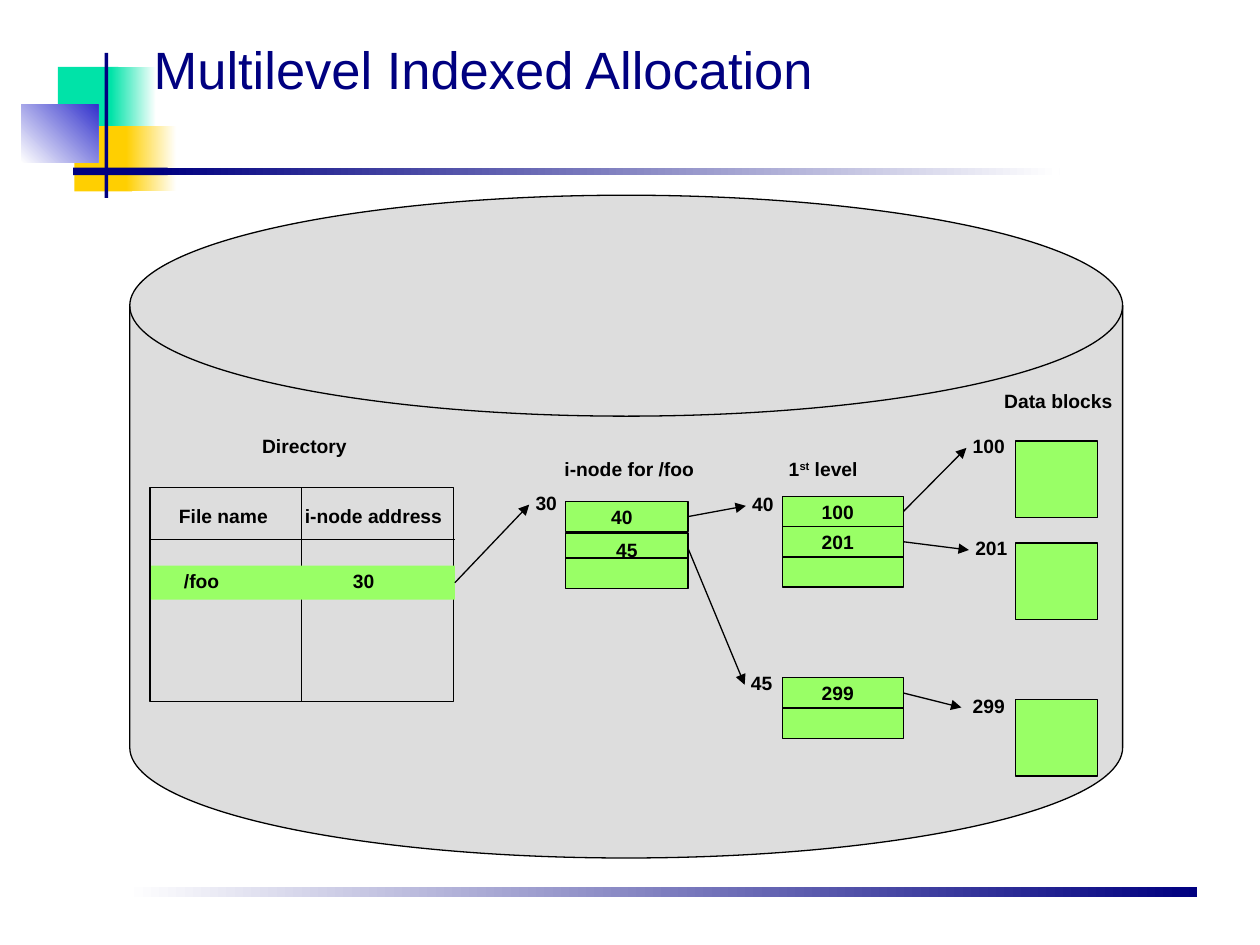
from lxml import etree
from pptx import Presentation
from pptx.dml.color import RGBColor
from pptx.enum import shapes, text
from pptx.oxml.ns import qn
from pptx.util import Inches, Pt

NAVY = RGBColor(0x00, 0x00, 0x80)
BLUE = RGBColor(0x33, 0x33, 0xCC)
TEAL = RGBColor(0x00, 0xE3, 0xA8)
GOLD = RGBColor(0xFF, 0xCF, 0x01)
WHITE = RGBColor(0xFF, 0xFF, 0xFF)
BLACK = RGBColor(0x00, 0x00, 0x00)
GRAY = RGBColor(0xDD, 0xDD, 0xDD)
GREEN = RGBColor(0x99, 0xFF, 0x66)
RECT = shapes.MSO_SHAPE.RECTANGLE

prs = Presentation()
prs.slide_width, prs.slide_height = Inches(10), Inches(7.5)
s = prs.slides.add_slide(prs.slide_layouts[6])


def add_box(x, y, w, h, fill=None, line=None, words="", kind=RECT,
            left=0.05, right=0.05, center=False, tab=None):
    at = [Inches(v) for v in (x, y, w, h)]
    if fill is None and line is None:
        sp = s.shapes.add_textbox(*at)
    else:
        sp = s.shapes.add_shape(kind, *at)
        sp.shadow.inherit = False
        if fill is None:
            sp.fill.background()
        else:
            sp.fill.solid()
            sp.fill.fore_color.rgb = fill
        if line is None:
            sp.line.fill.background()
        else:
            sp.line.color.rgb = line
            sp.line.width = Pt(0.75)
    if words:
        tf = sp.text_frame
        tf.word_wrap = True
        tf.margin_left, tf.margin_right = Inches(left), Inches(right)
        tf.margin_top = tf.margin_bottom = Inches(0.03)
        tf.vertical_anchor = text.MSO_ANCHOR.MIDDLE if center else text.MSO_ANCHOR.TOP
        p = tf.paragraphs[0]
        p.text = words
        p.alignment = text.PP_ALIGN.CENTER if center else text.PP_ALIGN.LEFT
        if tab:
            tabs = etree.SubElement(p._p.get_or_add_pPr(), qn("a:tabLst"))
            etree.SubElement(tabs, qn("a:tab"), pos=str(Inches(tab)), algn="l")
        p.font.name, p.font.size, p.font.bold = "Arial", Pt(11), True
        p.font.color.rgb = BLACK
    return sp


def add_line(x1=0, y1=0, x2=0, y2=0, start=None, end=None, arrow=False):
    ln = s.shapes.add_connector(shapes.MSO_CONNECTOR.STRAIGHT,
                                *[Inches(v) for v in (x1, y1, x2, y2)])
    if start:
        ln.begin_connect(*start)
    if end:
        ln.end_connect(*end)
    ln.line.color.rgb = BLACK
    ln.line.width = Pt(0.75)
    if arrow:
        etree.SubElement(ln.line._get_or_add_ln(), qn("a:tailEnd"), type="triangle")
    etree.SubElement(ln._element.spPr, qn("a:effectLst"))


for x, y, w, h, c1, c2, angle in [
    (1, 7.04, 8.5, 0.08, WHITE, NAVY, 0),
    (0.46, 0.53, 0.48, 0.52, TEAL, None, 0),
    (0.88, 0.53, 0.36, 0.52, TEAL, WHITE, 0),
    (0.59, 1, 0.46, 0.52, GOLD, None, 0),
    (1, 1, 0.4, 0.52, GOLD, WHITE, 0),
    (0.17, 0.83, 0.61, 0.46, WHITE, BLUE, 45),
    (0.83, 0.42, 0.03, 1.15, NAVY, None, 0),
    (0.58, 1.33, 0.75, 0.06, NAVY, None, 0),
    (1.25, 1.33, 7.16, 0.06, NAVY, WHITE, 0),
]:
    sp = add_box(x, y, w, h, c1)
    if c2 is not None:
        sp.fill.gradient()
        sp.fill.gradient_angle = angle
        for stop, color in zip(sp.fill.gradient_stops, (c1, c2)):
            stop.color.rgb = color

title = add_box(1, 0.17, 8.5, 0.67, words="Multilevel Indexed Allocation", left=0.22)
title.text_frame.vertical_anchor = text.MSO_ANCHOR.BOTTOM
title.text_frame.margin_bottom = Inches(0.05)
p = title.text_frame.paragraphs[0]
p.font.size, p.font.bold = Pt(30), False
p.font.color.rgb = NAVY

add_box(1.03, 1.55, 7.88, 5.26, GRAY, BLACK, kind=shapes.MSO_SHAPE.FLOWCHART_MAGNETIC_DISK)

add_box(1.2, 3.97, 2.46, 0.27, words="File name\ti-node address", left=0.22, tab=1)
directory = add_box(1.19, 3.87, 2.41, 1.7, line=BLACK)
add_line(start=(directory, 0), end=(directory, 2))
add_line(1.2, 4.28, 3.61, 4.28)
entry = add_box(1.2, 4.49, 2.41, 0.27, GREEN, words="/foo\t30", left=0.26, tab=1.34)

cells = {}
for x, w, rows in [
    (4.49, 0.97, [(3.98, "40"), (4.23, ""), (4.43, "")]),
    (6.21, 0.96, [(3.94, "100"), (4.18, "201"), (4.42, "")]),
    (6.21, 0.96, [(5.38, "299"), (5.62, "")]),
]:
    for y, words in rows:
        cells[x, y] = add_box(x, y, w, 0.24, GREEN, BLACK, words, right=0.13, center=True)

for y in (3.5, 4.31, 5.55):
    add_box(8.06, y, 0.65, 0.61, GREEN, BLACK)

for x, y, w, words in [
    (2.03, 3.42, 1.05, "Directory"),
    (4.43, 3.6, 1.19, "i-node for /foo"),
    (7.92, 3.06, 1.07, "Data blocks"),
    (4.84, 4.24, 0.42, "45"),
]:
    add_box(x, y, w, 0.27, words=words)

level = add_box(6.21, 3.6, 0.85, 0.27, words="1")
p = level.text_frame.paragraphs[0]
for words, baseline in (("st", "30000"), (" level", "0")):
    r = p.add_run()
    r.text = words
    r._r.get_or_add_rPr().set("baseline", baseline)

for x, y, w, words, left, source in [
    (4.2, 3.87, 0.38, "30", 0.05, entry),
    (5.92, 3.88, 0.42, "40", 0.05, cells[4.49, 3.98]),
    (5.91, 5.3, 0.42, "45", 0.05, cells[4.49, 4.23]),
    (7.67, 3.42, 0.51, "100", 0.05, cells[6.21, 3.94]),
    (7.69, 4.23, 0.51, "201", 0.05, cells[6.21, 4.18]),
    (7.63, 5.48, 0.55, "299", 0.09, cells[6.21, 5.38]),
]:
    address = add_box(x, y, w, 0.27, words=words, left=left)
    add_line(start=(source, 3), end=(address, 1), arrow=True)

prs.save("out.pptx")
